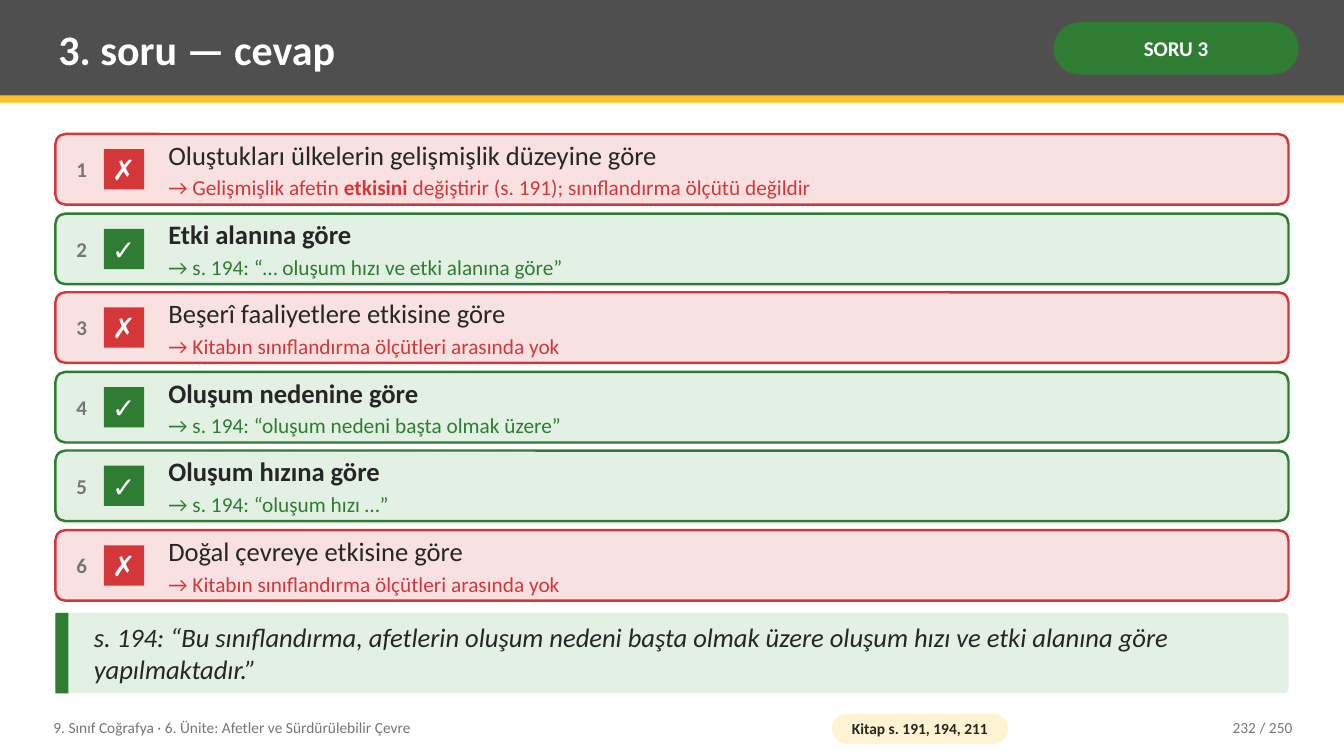
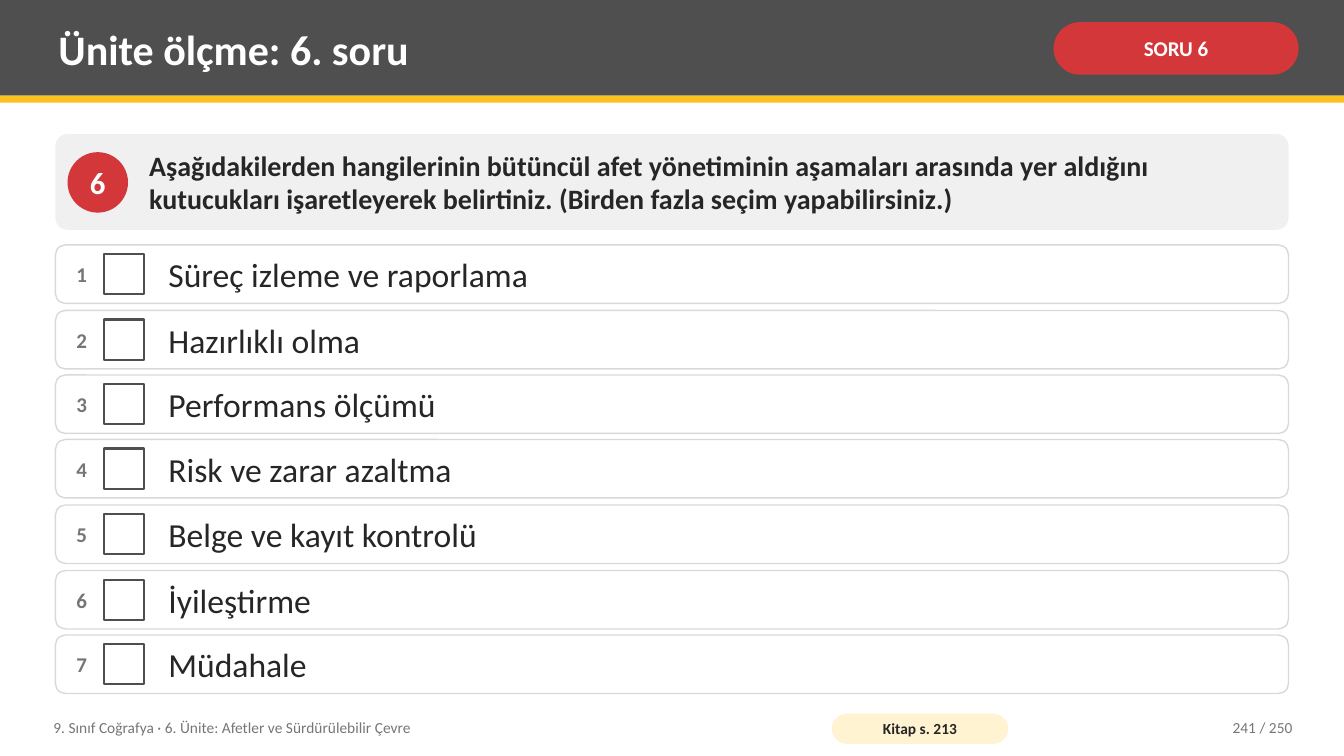
from pptx import Presentation
from pptx.dml.color import RGBColor
from pptx.enum.shapes import MSO_SHAPE as SHAPE
from pptx.enum.text import MSO_ANCHOR as ANCHOR, MSO_AUTO_SIZE as AUTO, PP_ALIGN as ALIGN
from pptx.util import Pt

PX = 9144  # 100 px to the inch
WIDTH, HEIGHT = 1333, 750
LEFT, BODY_W, TOP = 55, 1223, 133
FONT = "Calibri"
INSETS = (8, 4, 8, 4)
COLORS = {
    "band": "4F4F4F", "accent": "FCC021", "ink": "262626", "muted": "767676",
    "white": "FFFFFF", "panel": "F0F0F0", "border": "D9D9D9", "tag": "FFF3D1",
    "green": "2E7D32", "green_tint": "E3F1E4", "red": "D3373A", "red_tint": "F9E1E1",
}
COURSE = "9. Sınıf Coğrafya · 6. Ünite: Afetler ve Sürdürülebilir Çevre"
PAGE_COUNT = 250

ANSWERS = [  # correct?, option, reason (odd pieces are bold)
    (False, "Oluştukları ülkelerin gelişmişlik düzeyine göre",
     ["→ Gelişmişlik afetin ", "etkisini", " değiştirir (s. 191); sınıflandırma ölçütü değildir"]),
    (True, "Etki alanına göre", ["→ s. 194: “… oluşum hızı ve etki alanına göre”"]),
    (False, "Beşerî faaliyetlere etkisine göre", ["→ Kitabın sınıflandırma ölçütleri arasında yok"]),
    (True, "Oluşum nedenine göre", ["→ s. 194: “oluşum nedeni başta olmak üzere”"]),
    (True, "Oluşum hızına göre", ["→ s. 194: “oluşum hızı …”"]),
    (False, "Doğal çevreye etkisine göre", ["→ Kitabın sınıflandırma ölçütleri arasında yok"]),
]
QUOTE = ("s. 194: “Bu sınıflandırma, afetlerin oluşum nedeni başta olmak üzere "
         "oluşum hızı ve etki alanına göre yapılmaktadır.”")
QUESTION = ("Aşağıdakilerden hangilerinin bütüncül afet yönetiminin aşamaları arasında yer aldığını "
            "kutucukları işaretleyerek belirtiniz. (Birden fazla seçim yapabilirsiniz.)")
OPTIONS = ["Süreç izleme ve raporlama", "Hazırlıklı olma", "Performans ölçümü",
           "Risk ve zarar azaltma", "Belge ve kayıt kontrolü", "İyileştirme", "Müdahale"]


def rgb(name):
    return RGBColor.from_string(COLORS[name])


def emu(*lengths):
    return [length * PX for length in lengths]


# Text
def add_run(p, text, size, color="ink", bold=False, italic=False):
    r = p.add_run()
    r.text = text
    r.font.name, r.font.size = FONT, Pt(size)
    r.font.bold, r.font.italic = bold, italic
    r.font.color.rgb = rgb(color)


def set_frame(tf, align=ALIGN.LEFT, insets=INSETS, wrap=True):
    tf.word_wrap, tf.auto_size = wrap, AUTO.NONE
    tf.vertical_anchor = ANCHOR.MIDDLE
    tf.margin_left, tf.margin_top, tf.margin_right, tf.margin_bottom = emu(*insets)
    p = tf.paragraphs[0]
    p.alignment = align
    return p


def add_text(s, box, text, size, align=ALIGN.LEFT, insets=INSETS, **style):
    tf = s.shapes.add_textbox(*emu(*box)).text_frame
    add_run(set_frame(tf, align, insets), text, size, **style)
    return tf


# Shapes
def add_shape(s, box, fill, kind=SHAPE.RECTANGLE, line=None, line_pt=1, radius=0):
    sp = s.shapes.add_shape(SHAPE.ROUNDED_RECTANGLE if radius else kind, *emu(*box))
    sp.shadow.inherit = False
    sp.fill.solid()
    sp.fill.fore_color.rgb = rgb(fill)
    if line:
        sp.line.color.rgb, sp.line.width = rgb(line), Pt(line_pt)
    else:
        sp.line.fill.background()
    if radius:
        sp.adjustments[0] = radius / min(box[2:])
    return sp


def add_label(sp, text, size, color="white", insets=(0, 0, 0, 0), wrap=True):
    p = set_frame(sp.text_frame, ALIGN.CENTER, insets, wrap)
    add_run(p, text, size, color, bold=True)


# Header and footer shared by the slides
def new_slide(prs, title, badge, badge_color, pages, page):
    s = prs.slides.add_slide(prs.slide_layouts[5])
    add_shape(s, (0, 0, WIDTH, 95), "band")
    add_shape(s, (0, 95, WIDTH, 7), "accent")
    heading = s.shapes.title
    s.shapes.element.append(heading.element)  # bring in front of the band
    heading.left, heading.top, heading.width, heading.height = emu(50, 7, 975, 82)
    add_run(set_frame(heading.text_frame), title, 30, "white", bold=True)
    pill = add_shape(s, (1045, 22, 243, 52), badge_color, radius=26)
    add_label(pill, badge, 15, insets=(5, 2, 5, 2))

    add_text(s, (45, 704, 760, 36), COURSE, 11, color="muted")
    tag = add_shape(s, (825, 708, 175, 30), "tag", radius=15)
    add_label(tag, f"Kitap s. {pages}", 11, "ink", insets=(4, 0, 4, 0))
    add_text(s, (1130, 704, 160, 36), f"{page} / {PAGE_COUNT}", 11, ALIGN.RIGHT, color="muted")
    return s


# Numbered option rows
def row_tops(top, bottom, height, count):
    pitch = (bottom - top - height) / (count - 1)
    return [round(top + i * pitch) for i in range(count)]


def add_row(s, number, top, height, text, size, fill, line, line_pt, bold=False):
    add_shape(s, (LEFT, top, BODY_W, height), fill, line=line, line_pt=line_pt, radius=10)
    add_text(s, (61, top, 40, height), str(number), 15, ALIGN.CENTER, (0, 4, 0, 4),
             color="muted", bold=True)
    return add_text(s, (159, top, 1111, height), text, size, bold=bold)


def add_checkbox(s, top, height, fill, **line):
    return add_shape(s, (103, top + (height - 40) // 2, 40, 40), fill, **line)


def add_answer(s, number, top, height, correct, text, reason):
    color = "green" if correct else "red"
    tf = add_row(s, number, top, height, text, 19, f"{color}_tint", color, 1.75, bold=correct)
    tf.paragraphs[0].space_after = Pt(3)
    p = tf.add_paragraph()
    for i, piece in enumerate(reason):
        add_run(p, piece, 15.2, color, bold=i % 2 == 1)
    add_label(add_checkbox(s, top, height, color), "✓" if correct else "✗", 20)


def build_answer_slide(prs):
    s = new_slide(prs, "3. soru — cevap", "SORU 3", "green", "191, 194, 211", 232)
    height = 70
    tops = row_tops(TOP, 596, height, len(ANSWERS))
    for number, (top, answer) in enumerate(zip(tops, ANSWERS), 1):
        add_answer(s, number, top, height, *answer)
    # Quotation from the book
    add_shape(s, (LEFT, 608, BODY_W, 80), "green_tint", radius=5)
    add_shape(s, (LEFT, 608, 13, 80), "green")
    add_text(s, (85, 608, 1178, 80), QUOTE, 19, italic=True)


def build_question_slide(prs):
    s = new_slide(prs, "Ünite ölçme: 6. soru", "SORU 6", "red", "213", 241)
    # Question panel
    add_shape(s, (LEFT, TOP, BODY_W, 95), "panel", radius=12)
    circle = add_shape(s, (67, 151, 60, 60), "red", SHAPE.OVAL)
    add_label(circle, "6", 22, wrap=False)
    add_text(s, (140, TOP, 1128, 95), QUESTION, 20, bold=True)
    # Options to tick
    height = 58
    tops = row_tops(243, 688, height, len(OPTIONS))
    for number, (top, option) in enumerate(zip(tops, OPTIONS), 1):
        add_row(s, number, top, height, option, 24, "white", "border", 1)
        add_checkbox(s, top, height, "white", line="band", line_pt=1.5)


def main():
    prs = Presentation()
    prs.slide_width, prs.slide_height = emu(WIDTH, HEIGHT)
    build_answer_slide(prs)
    build_question_slide(prs)
    prs.save("out.pptx")


if __name__ == "__main__":
    main()
